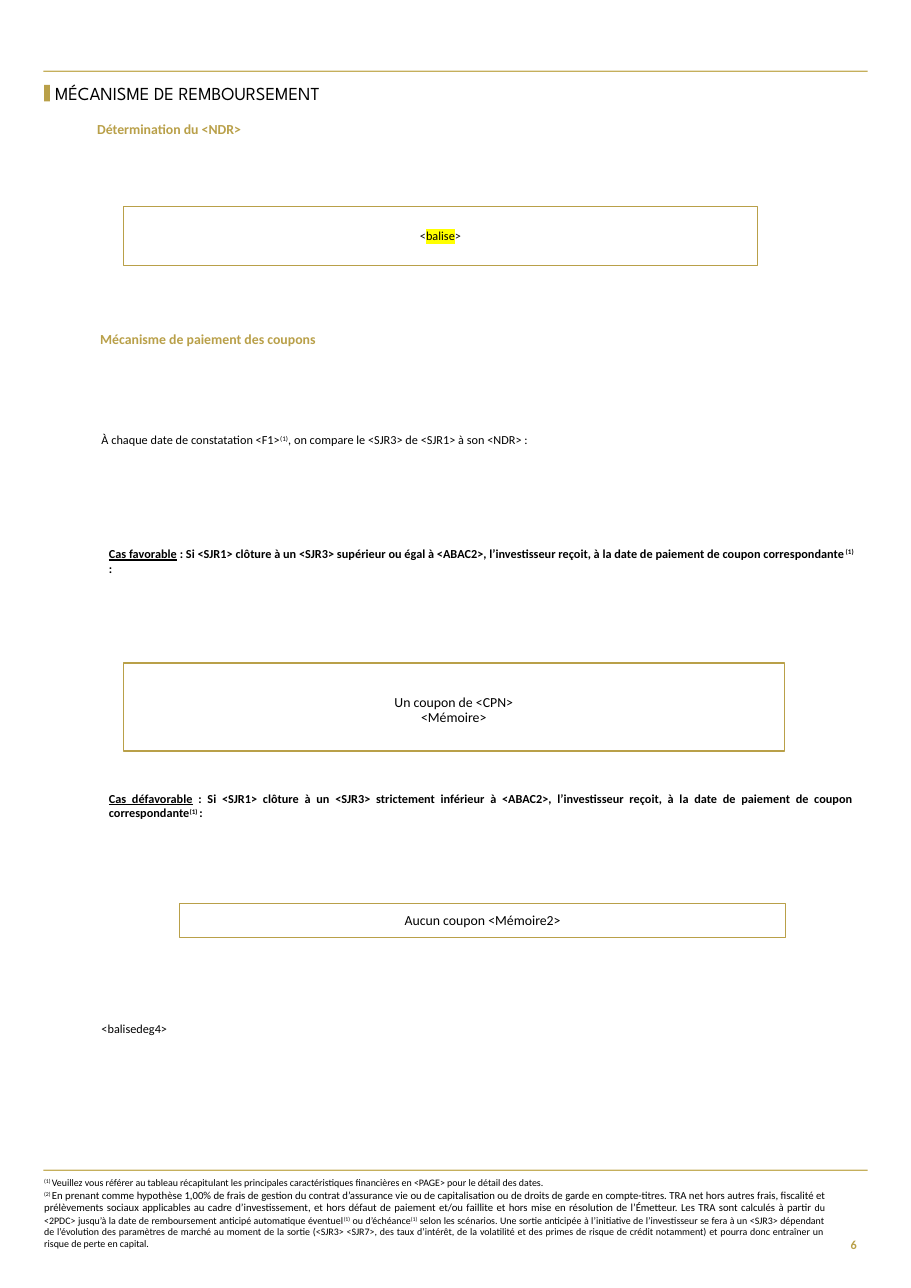
from collections import namedtuple
from dataclasses import dataclass

from lxml import etree
from pptx import Presentation
from pptx.dml.color import RGBColor
from pptx.enum.shapes import MSO_SHAPE
from pptx.enum.text import MSO_ANCHOR, PP_ALIGN
from pptx.oxml.ns import qn
from pptx.util import Cm, Pt

RECT = MSO_SHAPE.RECTANGLE
TOP, MID = MSO_ANCHOR.TOP, MSO_ANCHOR.MIDDLE
LEFT, MIDDLE, RIGHT, JUST = (PP_ALIGN.LEFT, PP_ALIGN.CENTER,
                             PP_ALIGN.RIGHT, PP_ALIGN.JUSTIFY)


@dataclass(frozen=True)
class Theme:
    gold: str = "B9A049"
    pale: str = "C5AF5C"
    ink: str = "000000"
    white: str = "FFFFFF"
    mark: str = "FFFF00"
    body: str = "Calibri"
    display: str = "League Spartan"
    title: float = 12
    head: float = 9
    text: float = 8
    note: float = 6.5
    wide: float = 7


T = Theme()


class Box(namedtuple("Box", "x y w h")):
    def spot(self, dx, dy, w, h):
        """Place an item relative to this box, in centimetres."""
        return [Cm(round(v, 2)) for v in (self.x + dx, self.y + dy, w, h)]


# Text: a run is a string, or a string with its own format
def style(run, size=T.text, color=T.ink, font=T.body, bold=False,
          under=False, sup=False, mark=None):
    run.font.size = Pt(size)
    run.font.name = font
    run.font.bold = bold
    run.font.underline = under
    run.font.color.rgb = RGBColor.from_string(color)
    props = run.font._element
    if sup:
        props.set("baseline", "30000")
    if mark:
        light = etree.Element(qn("a:highlight"))
        etree.SubElement(light, qn("a:srgbClr")).set("val", mark)
        props.find(qn("a:solidFill")).addnext(light)


def write(shape, *lines, align=LEFT, anchor=TOP, inset=(0, 0, 0, 0),
          space=None, indent=0, **form):
    frame = shape.text_frame
    frame.word_wrap = True
    frame.vertical_anchor = anchor
    (frame.margin_left, frame.margin_top,
     frame.margin_right, frame.margin_bottom) = map(Cm, inset)
    for i, line in enumerate(lines):
        para = frame.paragraphs[0] if i == 0 else frame.add_paragraph()
        para.alignment = align
        para.line_spacing = space
        if indent:
            props = para._p.get_or_add_pPr()
            props.set("marL", str(Cm(indent)))
            props.set("indent", "0")
        for piece in [line] if isinstance(line, str) else line:
            text, own = (piece, {}) if isinstance(piece, str) else piece
            run = para.add_run()
            run.text = text
            style(run, **{**form, **own})


def label(slide, place, *lines, **form):
    write(slide.shapes.add_textbox(*place), *lines, **form)


def block(slide, place, fill=None, line=None, width=0.75):
    shape = slide.shapes.add_shape(RECT, *place)
    shape.shadow.inherit = False
    if fill:
        shape.fill.solid()
        shape.fill.fore_color.rgb = RGBColor.from_string(fill)
    else:
        shape.fill.background()
    if line:
        shape.line.color.rgb = RGBColor.from_string(line)
        shape.line.width = Pt(width)
    else:
        shape.line.fill.background()
    return shape


def heading(slide, place, text, **form):
    label(slide, place, text, size=T.head, color=T.gold, bold=True,
          indent=0.51, **form)


def sup(text="(1)"):
    return text, {"sup": True}


# Rule, marker and title
def header(slide, box):
    block(slide, box.spot(0, 0, box.w, 0.03), T.pale)
    block(slide, box.spot(0.02, 0.33, 0.13, 0.38), T.gold)
    label(slide, box.spot(0.27, 0.22, 10.69, 0.64),
          "MÉCANISME DE REMBOURSEMENT", size=T.title, font=T.display,
          anchor=MID, space=0.9)


# Redemption level
def level(slide, box):
    heading(slide, box.spot(0, 0, 8.05, 0.46), "Détermination du <NDR>")
    frame = block(slide, box.spot(1.11, 1.96, 14.63, 1.37),
                  line=T.gold, width=0.5)
    write(frame, ["<", ("balise", {"mark": T.mark}), ">"],
          align=MIDDLE, anchor=MID, inset=(0.3, 0.5, 0.3, 0.5))


# Coupon payment: two cases, each with its outcome
def coupon(slide, box):
    heading(slide, box.spot(0, 0, 17.2, 0.43),
            "Mécanisme de paiement des coupons", align=JUST)
    label(slide, box.spot(0.54, 2.36, 16.69, 0.33),
          ["À chaque date de constatation <F1>", sup(),
           ", on compare le <SJR3> de <SJR1> à son <NDR> :"], align=JUST)
    cases = (
        ("Cas favorable", "supérieur ou égal", 4.98,
         (1.04, 7.67, 15.24, 2.03), ["Un coupon de <CPN>", "<Mémoire>"],
         0.9, 0.38),
        ("Cas défavorable", "strictement inférieur", 10.62,
         (2.34, 13.21, 13.97, 0.79), ["Aucun coupon <Mémoire2>"],
         None, 0.2),
    )
    for name, test, top, place, lines, space, pad in cases:
        label(slide, box.spot(0.71, top, 17.17, 0.69),
              [(name, {"under": True}),
               f" : Si <SJR1> clôture à un <SJR3> {test} à <ABAC2>, "
               "l’investisseur reçoit, à la date de paiement de coupon "
               "correspondante", sup("(1) "), ": "],
              align=JUST, bold=True)
        frame = block(slide, box.spot(*place), T.white, T.gold)
        write(frame, *lines, size=T.head, align=MIDDLE, anchor=MID,
              space=space, inset=(0.3, pad, 0.3, 0.2))
    label(slide, box.spot(0.54, 15.93, 17.17, 0.33), "<balisedeg4>",
          align=JUST)


# Rule, footnotes and page number
def footer(slide, box):
    block(slide, box.spot(0, 0, box.w, 0.03), T.pale)
    label(slide, box.spot(0.02, 0.16, 18, 1.73),
          [sup("(1) "),
           "Veuillez vous référer au tableau récapitulant les principales "
           "caractéristiques financières en <PAGE> pour le détail des "
           "dates. "],
          [sup("(2) "),
           ("En prenant comme hypothèse 1,00% de frais de gestion du "
            "contrat d’assurance vie ou de capitalisation ou de droits de "
            "garde en compte-titres. TRA net hors autres frais, fiscalité "
            "et prélèvements sociaux applicables au cadre "
            "d’investissement, et hors défaut de paiement et/ou faillite "
            "et hors mise en résolution de l’Émetteur. Les TRA sont "
            "calculés à partir ", {"size": T.wide}),
           "du <2PDC> jusqu’à la date de remboursement anticipé "
           "automatique éventuel", sup(), " ou d’échéance", sup(),
           " selon les scénarios. Une sortie anticipée à l’initiative de "
           "l’investisseur se fera à un <SJR3> dépendant de l’évolution "
           "des paramètres de marché au moment de la sortie (<SJR3> "
           "<SJR7>, des taux d’intérêt, de la volatilité et des primes de "
           "risque de crédit notamment) et pourra donc entraîner un "
           "risque de perte en capital."],
          size=T.note, align=JUST)
    label(slide, box.spot(18, 1.2, 1, 1.07), "6", color=T.gold, bold=True,
          align=RIGHT, anchor=MID, inset=(0.25, 0.13, 0.25, 0.13))


def main():
    deck = Presentation()
    deck.slide_width, deck.slide_height = Cm(21), Cm(29.7)
    slide = deck.slides.add_slide(deck.slide_layouts[6])
    header(slide, Box(1, 1.63, 19, 0.86))
    level(slide, Box(1.73, 2.79, 15.74, 3.33))
    coupon(slide, Box(1.8, 7.62, 17.88, 16.26))
    footer(slide, Box(1, 26.97, 19, 2.27))
    deck.save("out.pptx")


if __name__ == "__main__":
    main()
